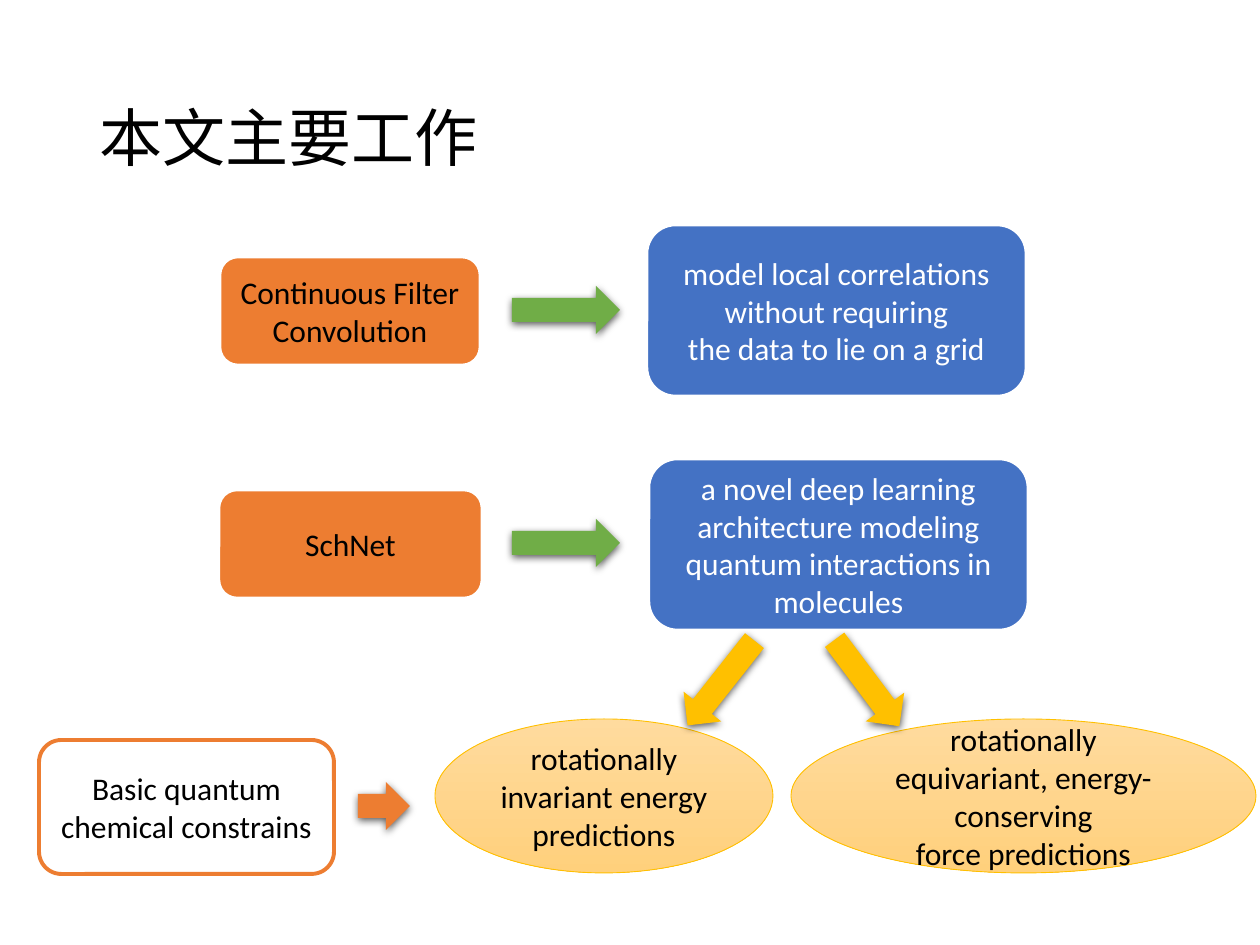
from lxml import etree
from pptx import Presentation
from pptx import util as u
from pptx.dml.color import RGBColor
from pptx.enum import shapes, text
from pptx.oxml.ns import qn

PX = 914400 / 126
FONT = "Calibri"
BLACK, WHITE = "000000", "FFFFFF"
ORANGE, BLUE, GREEN, GOLD = "ED7D31", "4472C4", "70AD47", "FFC000"
PALE_GOLD = ("FFDB9E", "FFD07C")

# Content: position in px, then look and wording
TITLE = "本文主要工作"
ROUND, OVAL = shapes.MSO_SHAPE.ROUNDED_RECTANGLE, shapes.MSO_SHAPE.OVAL
STYLES = {  # outline shape, fill, line colour, line width, text colour
    "method": (ROUND, ORANGE, WHITE, 1.5, BLACK),
    "purpose": (ROUND, BLUE, WHITE, 1.5, WHITE),
    "property": (OVAL, PALE_GOLD, GOLD, 0.5, BLACK),
    "constraint": (ROUND, WHITE, ORANGE, 2.25, BLACK),
}
BOXES = [
    ("method", (220, 257, 260, 108), ["Continuous Filter", "Convolution"]),
    ("purpose", (647, 225, 379, 171),
     ["model local correlations without requiring", "the data to lie on a grid"]),
    ("method", (219, 490, 263, 108), ["SchNet"]),
    ("purpose", (649, 459, 379, 171),
     ["a novel deep learning", "architecture modeling quantum interactions in molecules"]),
    ("property", (435, 719, 338, 154), ["rotationally invariant energy predictions"]),
    ("property", (791, 719, 465, 154),
     ["rotationally equivariant, energy-conserving", "force predictions"]),
    ("constraint", (39, 740, 295, 134), ["Basic quantum chemical constrains"]),
]
ARROW_HEIGHT = 48
ARROWS = [  # left, top, width, rotation, colour
    (512, 286, 108, 0, GREEN),
    (512, 519, 108, 0, GREEN),
    (667, 659, 108, 128.3, GOLD),
    (813, 659, 108, 53.2, GOLD),
    (358, 782, 52, 0, ORANGE),
]


def px(*lengths):
    return [u.Emu(round(length * PX)) for length in lengths]


def color(value):
    return RGBColor.from_string(value)


def format_text(frame, size, font_color, alignment):
    frame.word_wrap = True
    frame.vertical_anchor = text.MSO_ANCHOR.MIDDLE
    for paragraph in frame.paragraphs:
        paragraph.alignment = alignment
        for run in paragraph.runs:
            run.font.name = FONT
            run.font.size = u.Pt(size)
            run.font.color.rgb = color(font_color)


def paint(shape, fill):
    if isinstance(fill, tuple):
        shape.fill.gradient()
        shape.fill.gradient_angle = 270
        for stop, value in zip(shape.fill.gradient_stops, fill):
            stop.position = fill.index(value)
            stop.color.rgb = color(value)
    else:
        shape.fill.solid()
        shape.fill.fore_color.rgb = color(fill)


def add_box(slide, style, place, lines):
    kind, fill, line_color, line_width, font_color = STYLES[style]
    shape = slide.shapes.add_shape(kind, *px(*place))
    shape.shadow.inherit = False
    paint(shape, fill)
    shape.line.color.rgb = color(line_color)
    shape.line.width = u.Pt(line_width)
    shape.text_frame.text = "\n".join(lines)
    format_text(shape.text_frame, 18, font_color, text.PP_ALIGN.CENTER)


def add_arrow(slide, left, top, width, rotation, fill):
    shape = slide.shapes.add_shape(
        shapes.MSO_SHAPE.RIGHT_ARROW, *px(left, top, width, ARROW_HEIGHT))
    shape.rotation = rotation
    paint(shape, fill)
    shape.line.fill.background()
    # Soft shadow straight below the arrow
    shape.shadow.inherit = False
    effects = shape._element.spPr.find(qn("a:effectLst"))
    shadow = etree.SubElement(
        effects, qn("a:outerShdw"), blurRad=str(u.Pt(4.5)), dist=str(u.Pt(1.5)),
        dir="5400000", algn="ctr", rotWithShape="0")
    black = etree.SubElement(shadow, qn("a:srgbClr"), val=BLACK)
    etree.SubElement(black, qn("a:alpha"), val="63000")


def main():
    presentation = Presentation()
    presentation.slide_width, presentation.slide_height = px(1260, 945)
    slide = presentation.slides.add_slide(presentation.slide_layouts[5])

    # Title
    title = slide.shapes.title
    title.left, title.top, title.width, title.height = px(87, 50, 1086, 183)
    title.text_frame.text = TITLE
    format_text(title.text_frame, 36, BLACK, text.PP_ALIGN.LEFT)
    title.text_frame.paragraphs[0].line_spacing = 0.9

    # Diagram
    for box in BOXES:
        add_box(slide, *box)
    for arrow in ARROWS:
        add_arrow(slide, *arrow)

    presentation.save("out.pptx")


if __name__ == "__main__":
    main()
